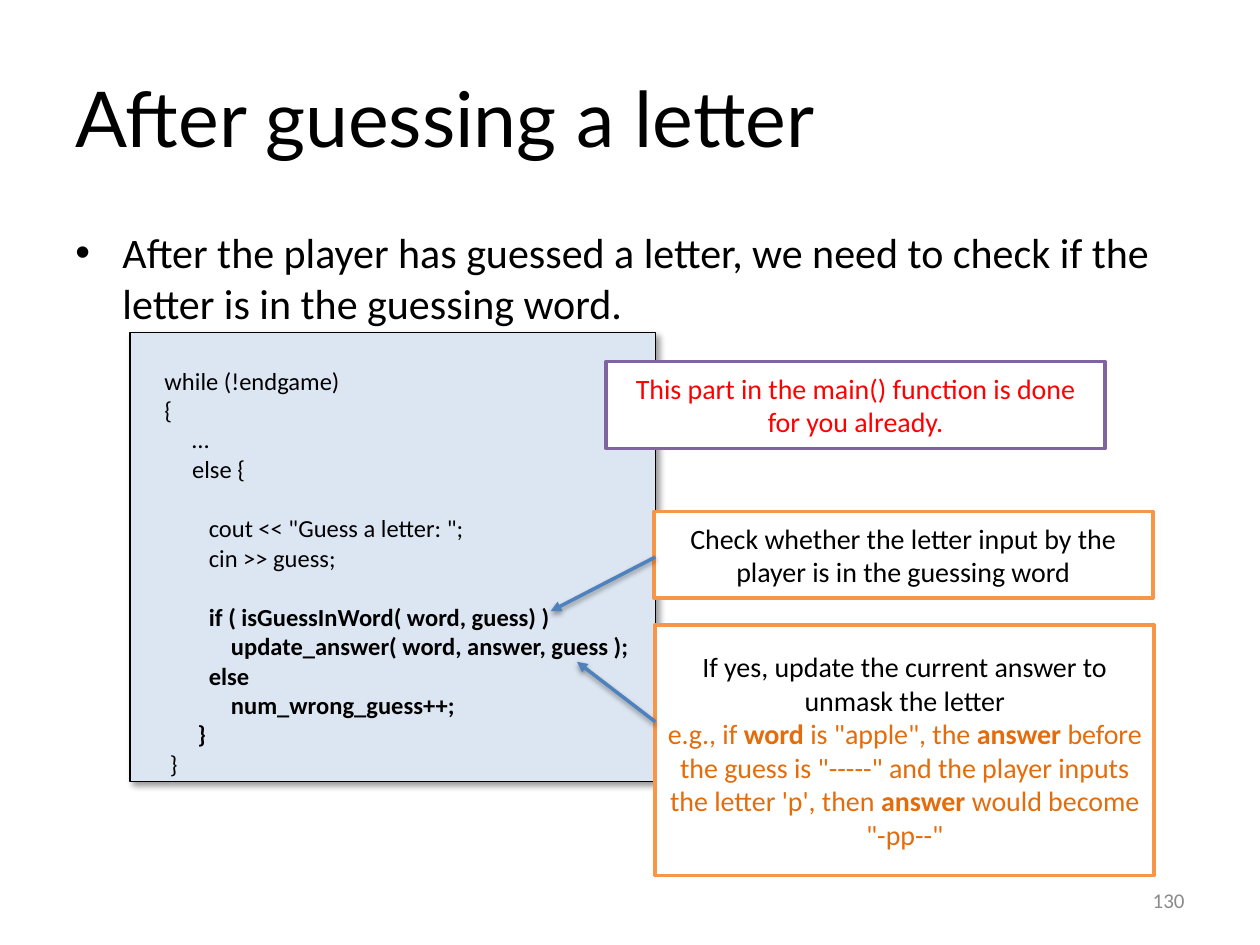
"""Build the slide about what happens after guessing a letter."""
from dataclasses import dataclass

from lxml.etree import SubElement
from pptx import Presentation
from pptx.dml.color import RGBColor
from pptx.enum.shapes import MSO_CONNECTOR, MSO_SHAPE
from pptx.enum.text import MSO_ANCHOR, PP_ALIGN
from pptx.oxml.ns import qn
from pptx.util import Cm, Pt

COLORS = {
    "black": "000000", "white": "FFFFFF", "grey": "8B8B8B", "code": "DCE6F2",
    "orange": "F79646", "example": "E46C0A", "purple": "8064A2",
    "red": "FF0000", "blue": "4F81BD",
}
CODE = """\
    while (!endgame)
    {
         …
         else {

            cout << "Guess a letter: ";
            cin >> guess;

            **if ( isGuessInWord( word, guess) )**
**                update_answer( word, answer, guess );**
**            else**
**                num_wrong_guess++;**
**          }**
     }"""


@dataclass
class Line:
    """A paragraph, with bold parts between double asterisks."""
    text: str
    color: str = "black"
    before: float = 0


@dataclass
class Note:
    """A framed remark beside the code."""
    x: float
    y: float
    h: float
    border: str
    lines: list[Line]


@dataclass
class Arrow:
    """A pointer from a note to the code."""
    x1: float
    y1: float
    x2: float
    y2: float


NOTES = [
    Note(13.18, 10.31, 1.75, "orange", [
        Line("Check whether the letter input by the player is in the guessing word")]),
    Note(13.21, 12.6, 5.05, "orange", [
        Line("If yes, update the current answer to unmask the letter"),
        Line("e.g., if **word** is \"apple\", the **answer **before the guess is \"-----\" "
             "and the player inputs the letter 'p', then **answer **would become \"-pp--\"",
             "example")]),
    Note(12.22, 7.29, 1.75, "purple", [
        Line("This part in the main() function is done for you already.", "red")]),
]
ARROWS = [Arrow(13.21, 11.23, 11.1, 12.32), Arrow(13.21, 14.55, 11.63, 13.34)]


def rgb(name: str) -> RGBColor:
    """Return a named colour."""
    return RGBColor.from_string(COLORS[name])


def write(sp, lines: list[Line], *, size: float, font: str = "Calibri",
          align=PP_ALIGN.LEFT, anchor=MSO_ANCHOR.MIDDLE, bullet: str = "") -> None:
    """Fill a shape with formatted paragraphs."""
    tf = sp.text_frame
    tf.word_wrap = True
    tf.vertical_anchor = anchor
    for i, line in enumerate(lines):
        p = tf.add_paragraph() if i else tf.paragraphs[0]
        p.alignment = align
        p.space_before = Pt(line.before)
        if bullet:
            pPr = p._p.get_or_add_pPr()
            pPr.set("marL", str(Cm(0.95)))
            pPr.set("indent", str(-Cm(0.95)))
            SubElement(pPr, qn("a:buFont"), typeface="Arial")
            SubElement(pPr, qn("a:buChar"), char=bullet)
        for n, part in enumerate(line.text.split("**")):
            if part:
                r = p.add_run()
                r.text = part
                r.font.name, r.font.size = font, Pt(size)
                r.font.bold = n % 2 == 1
                r.font.color.rgb = rgb(line.color)


def add_text(s, x: float, y: float, w: float, h: float, text: str, *,
             color: str = "black", **fmt) -> None:
    """Add a plain text box."""
    write(s.shapes.add_textbox(Cm(x), Cm(y), Cm(w), Cm(h)), [Line(text, color)], **fmt)


def add_box(s, x: float, y: float, w: float, h: float, *, fill: str, border: str,
            width: float):
    """Add a framed rectangle."""
    sp = s.shapes.add_shape(MSO_SHAPE.RECTANGLE, Cm(x), Cm(y), Cm(w), Cm(h))
    sp.shadow.inherit = False
    sp.fill.solid()
    sp.fill.fore_color.rgb = rgb(fill)
    sp.line.color.rgb = rgb(border)
    sp.line.width = Pt(width)
    return sp


def add_shadow(effects, blur: float, dist: float, angle: int, alpha: int) -> None:
    """Put a black outer shadow in an effect list."""
    shadow = SubElement(effects, qn("a:outerShdw"), blurRad=str(Pt(blur)),
                        dist=str(Pt(dist)), dir=str(angle * 60000), rotWithShape="0")
    color = SubElement(shadow, qn("a:srgbClr"), val=COLORS["black"])
    SubElement(color, qn("a:alpha"), val=str(alpha * 1000))


def add_code(s) -> None:
    """Add the code panel, with blank lines as paragraph spacing."""
    sp = add_box(s, 2.62, 6.71, 10.59, 9.04, fill="code", border="black", width=0.75)
    add_shadow(sp._element.spPr.find(qn("a:effectLst")), 4, 3, 45, 40)
    sp.text_frame.margin_top, sp.text_frame.margin_bottom = Cm(0.6), 0
    lines, before = [], 0
    for text in CODE.splitlines():
        if text:
            lines.append(Line(text, before=before))
        before = 0 if text else 17
    write(sp, lines, size=14)


def add_note(s, note: Note) -> None:
    """Add one framed remark."""
    sp = add_box(s, note.x, note.y, 10.06, note.h, fill="white", border=note.border, width=2)
    write(sp, note.lines, size=16, align=PP_ALIGN.CENTER)


def add_arrow(s, a: Arrow) -> None:
    """Add one arrow with its head at the code."""
    c = s.shapes.add_connector(MSO_CONNECTOR.STRAIGHT, Cm(a.x1), Cm(a.y1), Cm(a.x2), Cm(a.y2))
    c.line.color.rgb = rgb("blue")
    c.line.width = Pt(2)
    SubElement(c.line._get_or_add_ln(), qn("a:tailEnd"), type="triangle")
    add_shadow(SubElement(c._element.spPr, qn("a:effectLst")), 3.1, 1.6, 90, 38)


def main() -> None:
    """Build and save the slide."""
    prs = Presentation()
    prs.slide_width, prs.slide_height = Cm(25.4), Cm(19.05)
    s = prs.slides.add_slide(prs.slide_layouts[6])
    add_text(s, 1.27, 0.76, 22.86, 3.18, "After guessing a letter", size=44, font="Lato")
    add_text(s, 1.27, 4.45, 22.86, 12.57,
             "After the player has guessed a letter, we need to check if the "
             "letter is in the guessing word.",
             size=24, anchor=MSO_ANCHOR.TOP, bullet="•")
    add_text(s, 18.2, 17.65, 5.93, 1.01, "130", size=12, color="grey", align=PP_ALIGN.RIGHT)
    add_code(s)
    for note in NOTES:
        add_note(s, note)
    for arrow in ARROWS:
        add_arrow(s, arrow)
    prs.save("out.pptx")


if __name__ == "__main__":
    main()
